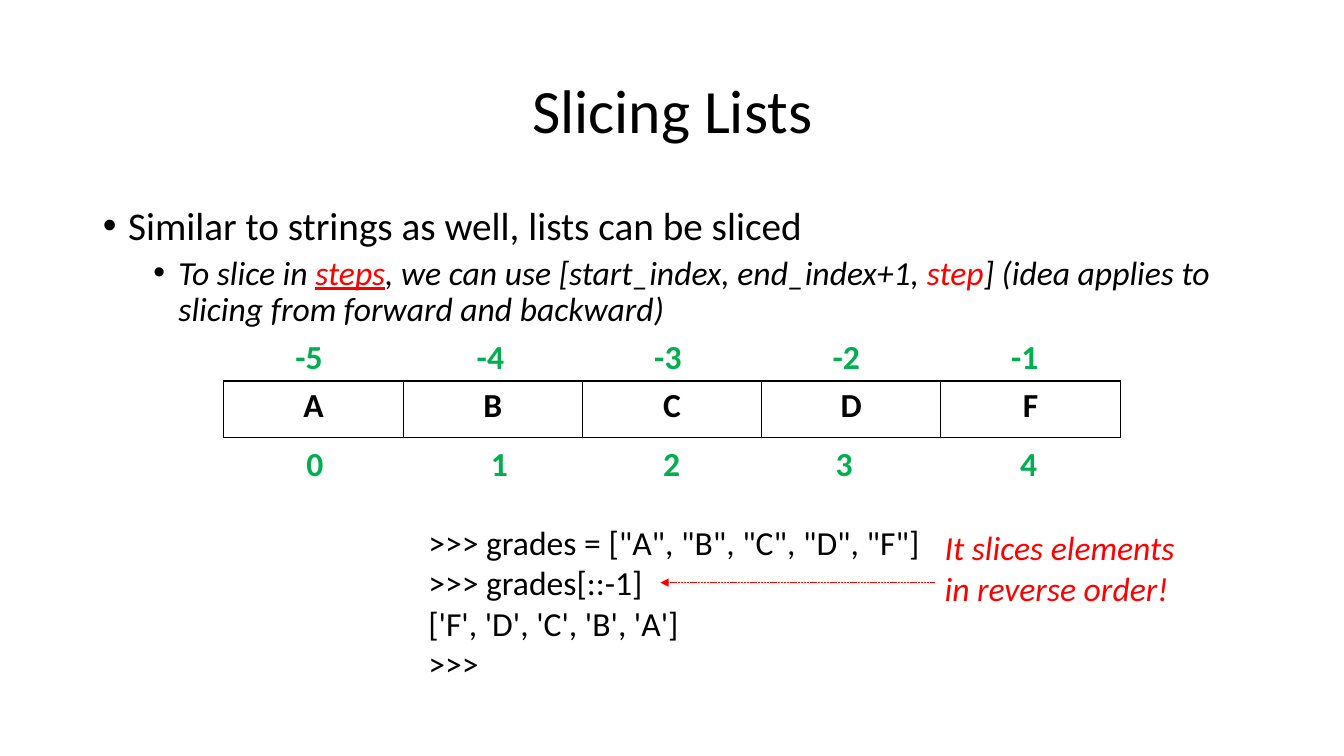
from dataclasses import dataclass

from lxml import etree
from pptx import Presentation
from pptx.dml.color import RGBColor
from pptx.enum.dml import MSO_LINE
from pptx.enum.shapes import MSO_CONNECTOR
from pptx.enum.text import MSO_ANCHOR, MSO_AUTO_SIZE, PP_ALIGN
from pptx.oxml.ns import qn
from pptx.util import Inches, Pt

CENTER = PP_ALIGN.CENTER
MIDDLE, TOP = MSO_ANCHOR.MIDDLE, MSO_ANCHOR.TOP
FIXED, GROW = MSO_AUTO_SIZE.NONE, MSO_AUTO_SIZE.SHAPE_TO_FIT_TEXT
STRAIGHT = MSO_CONNECTOR.STRAIGHT
DASHED = MSO_LINE.SQUARE_DOT


@dataclass(frozen=True)
class Theme:
    """Font, colours and type sizes of the slide."""
    font: str = "Calibri"
    text: RGBColor = RGBColor(0, 0, 0)
    accent: RGBColor = RGBColor(255, 0, 0)
    index: RGBColor = RGBColor(0, 176, 80)
    title_size: Pt = Pt(44)
    point_size: Pt = Pt(28)
    normal_size: Pt = Pt(24)


THEME = Theme()
GRADES = ["A", "B", "C", "D", "F"]
NEGATIVE_LEFTS = [2.83, 4.63, 6.39, 8.16, 9.93]
POSITIVE_LEFTS = [2.94, 4.77, 6.48, 8.19, 10.02]
CODE = """>>> grades = ["A", "B", "C", "D", "F"]
>>> grades[::-1]
['F', 'D', 'C', 'B', 'A']
>>>\u00a0""".replace("\u00a0", " ")


def style(run, size=THEME.normal_size, color=THEME.text, bold=False, italic=False):
    """Format one run of text."""
    run.font.name = THEME.font
    run.font.size = size
    run.font.color.rgb = color
    run.font.bold = bold
    run.font.italic = italic


def place(shape, left, top, width, height):
    """Move and size a shape, in inches."""
    shape.left, shape.top = Inches(left), Inches(top)
    shape.width, shape.height = Inches(width), Inches(height)


def add_title(slide, text):
    """Fill the title placeholder."""
    title = slide.shapes.title
    place(title, 0.92, 0.4, 11.5, 1.45)
    frame = title.text_frame
    frame.text = text
    frame.auto_size = FIXED
    frame.vertical_anchor = MIDDLE
    paragraph = frame.paragraphs[0]
    paragraph.alignment = CENTER
    paragraph.line_spacing = 0.9
    style(paragraph.runs[0], THEME.title_size)


def format_bullet(paragraph, level, indent, space_before):
    """Give a paragraph its level, hanging bullet and spacing."""
    paragraph.level = level
    properties = paragraph._p.get_or_add_pPr()
    properties.set("marL", str(Inches(indent)))
    properties.set("indent", str(Inches(-0.25)))
    etree.SubElement(properties, qn("a:buFont"), typeface="Arial")
    etree.SubElement(properties, qn("a:buChar"), char="•")
    paragraph.line_spacing = 0.9
    paragraph.space_before = Pt(space_before)


def add_points(slide):
    """Fill the body placeholder with the bulleted list."""
    body = slide.placeholders[1]
    place(body, 0.92, 2, 11.5, 5.02)
    frame = body.text_frame
    frame.text = "Similar to strings as well, lists can be sliced"
    frame.auto_size = FIXED
    frame.vertical_anchor = TOP
    point = frame.paragraphs[0]
    format_bullet(point, 0, 0.25, 0)
    style(point.runs[0], THEME.point_size)

    detail = frame.add_paragraph()
    format_bullet(detail, 1, 0.75, 5)
    for text, color, underline in (
        ("To slice in ", THEME.text, False),
        ("steps", THEME.accent, True),
        (", we can use [start_index, end_index+1, ", THEME.text, False),
        ("step", THEME.accent, False),
        ("] (idea applies to slicing from forward and backward)", THEME.text, False),
    ):
        run = detail.add_run()
        run.text = text
        style(run, color=color, italic=True)
        run.font.underline = underline


def add_label(slide, text, left, top, width, height, **format_options):
    """Add an unwrapped text box with one format throughout."""
    box = slide.shapes.add_textbox(Inches(left), Inches(top), Inches(width), Inches(height))
    frame = box.text_frame
    frame.word_wrap = False
    frame.auto_size = GROW
    frame.text = text
    for paragraph in frame.paragraphs:
        for run in paragraph.runs:
            style(run, **format_options)


def outline_cell(cell):
    """Draw a thin border on all four sides of a cell."""
    properties = cell._tc.get_or_add_tcPr()
    for side in ("a:lnL", "a:lnR", "a:lnT", "a:lnB"):
        line = etree.SubElement(properties, qn(side), w=str(Pt(1)))
        fill = etree.SubElement(line, qn("a:solidFill"))
        etree.SubElement(fill, qn("a:srgbClr"), val=str(THEME.text))


def add_grade_table(slide):
    """Add the one-row table of list elements."""
    frame = slide.shapes.add_table(
        1, len(GRADES), Inches(2.22), Inches(3.78), Inches(8.89), Inches(0.56))
    table = frame.table
    table.first_row = False
    table.horz_banding = False
    for cell, grade in zip(table.rows[0].cells, GRADES):
        cell.text = grade
        paragraph = cell.text_frame.paragraphs[0]
        paragraph.alignment = CENTER
        style(paragraph.runs[0], bold=True)
        outline_cell(cell)
        cell.fill.background()


def add_arrow(slide, start_x, end_x, y):
    """Add a dashed horizontal arrow."""
    arrow = slide.shapes.add_connector(
        STRAIGHT, Inches(start_x), Inches(y), Inches(end_x), Inches(y))
    arrow.line.color.rgb = THEME.accent
    arrow.line.width = Pt(0.5)
    arrow.line.dash_style = DASHED
    etree.SubElement(arrow.line._get_or_add_ln(), qn("a:tailEnd"), type="triangle")
    etree.SubElement(arrow._element.spPr, qn("a:effectLst"))


def main():
    """Build and save the slide."""
    presentation = Presentation()
    presentation.slide_width, presentation.slide_height = Inches(13.33), Inches(7.5)
    slide = presentation.slides.add_slide(presentation.slide_layouts[1])
    add_title(slide, "Slicing Lists")
    add_points(slide)
    add_grade_table(slide)
    for index, (negative_left, positive_left) in enumerate(zip(NEGATIVE_LEFTS, POSITIVE_LEFTS)):
        add_label(slide, str(index - len(GRADES)), negative_left, 3.28, 0.48, 0.5,
                  color=THEME.index, bold=True)
        add_label(slide, str(index), positive_left, 4.34, 0.37, 0.5,
                  color=THEME.index, bold=True)
    add_label(slide, CODE, 4.15, 5.13, 5.12, 1.72)
    add_label(slide, "It slices elements\vin reverse order!", 9.27, 5.18, 2.51, 0.91,
              color=THEME.accent, italic=True)
    add_arrow(slide, 9.27, 6.55, 5.78)
    presentation.save("out.pptx")


if __name__ == "__main__":
    main()
